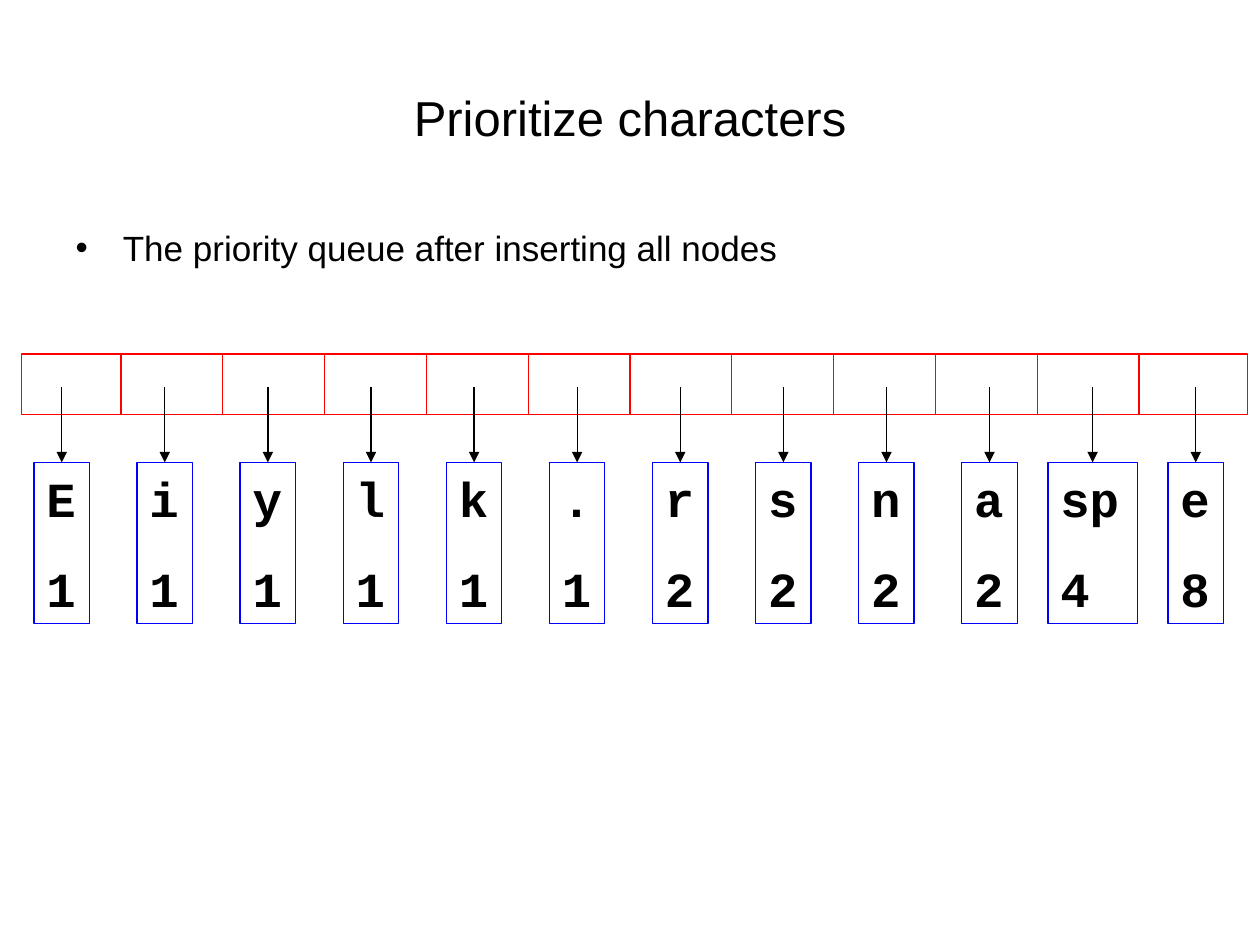
import pptx
import pptx.dml.color
import pptx.enum.shapes
import pptx.enum.text
import pptx.oxml
import pptx.oxml.ns
import pptx.util
from dataclasses import dataclass
from pptx.util import Inches


@dataclass(frozen=True)
class Theme:
    text: str = "000000"
    queue_fill: str = "FFFFFF"
    queue_line: str = "FF0000"
    node_line: str = "0000FF"
    title_size: int = 28
    body_size: int = 20
    node_size: int = 28
    line_width: float = 0.75
    sans: str = "Arial"
    mono: str = "Courier New"


theme = Theme()


def write(para, text, *, font, size, bold=False, align=None, before=None):
    span = para.add_run()
    span.text = text
    span.font.name = font
    span.font.size = pptx.util.Pt(size)
    span.font.bold = bold
    span.font.color.rgb = pptx.dml.color.RGBColor.from_string(theme.text)
    if align is not None:
        para.alignment = align
    if before is not None:
        para.space_before = pptx.util.Pt(before)


def style_line(item, color):
    """Set the outline colour and width, and remove any shadow."""
    item.line.color.rgb = pptx.dml.color.RGBColor.from_string(color)
    item.line.width = pptx.util.Pt(theme.line_width)
    if isinstance(item, pptx.shapes.connector.Connector):
        pptx.oxml.ns.qn("a:effectLst")
        properties = item._element.spPr
        properties.append(pptx.oxml.xmlchemy.OxmlElement("a:effectLst"))
    else:
        item.shadow.inherit = False


deck = pptx.Presentation()
deck.slide_width = Inches(10)
deck.slide_height = Inches(7.5)
page = deck.slides.add_slide(deck.slide_layouts[1])
shapes = page.shapes
rectangle = pptx.enum.shapes.MSO_SHAPE.RECTANGLE
straight = pptx.enum.shapes.MSO_CONNECTOR.STRAIGHT
center = pptx.enum.text.PP_ALIGN.CENTER
left = pptx.enum.text.PP_ALIGN.LEFT

# Title and bullet
title, body = shapes.title, page.placeholders[1]
title.left, title.top = Inches(0.5), Inches(0.3)
title.width, title.height = Inches(9), Inches(1.25)
write(title.text_frame.paragraphs[0], "Prioritize characters",
      font=theme.sans, size=theme.title_size, align=center)
body.left, body.top = Inches(0.5), Inches(1.75)
body.width, body.height = Inches(9), Inches(4.95)
write(body.text_frame.paragraphs[0], "The priority queue after inserting all nodes",
      font=theme.sans, size=theme.body_size, before=5)

nodes = [("E", 1), ("i", 1), ("y", 1), ("l", 1), ("k", 1), (".", 1),
         ("r", 2), ("s", 2), ("n", 2), ("a", 2), ("sp", 4), ("e", 8)]

# Queue array and its cell dividers
queue_top, queue_height = 2.81, 0.48
queue = shapes.add_shape(rectangle, Inches(0.17), Inches(queue_top),
                         Inches(9.73), Inches(queue_height))
queue.fill.solid()
queue.fill.fore_color.rgb = pptx.dml.color.RGBColor.from_string(theme.queue_fill)
style_line(queue, theme.queue_line)

first_divider, last_divider = 0.96, 9.04
divider_step = (last_divider - first_divider) / (len(nodes) - 2)
for index in range(len(nodes) - 1):
    x = Inches(first_divider + index * divider_step)
    divider = shapes.add_connector(straight, x, Inches(queue_top),
                                   x, Inches(queue_top + queue_height))
    style_line(divider, theme.queue_line)

# Nodes, each with an arrow from its queue cell
first_center, last_center = 0.49, 9.49
node_step = (last_center - first_center) / (len(nodes) - 1)
node_top, node_height, arrow_top = 3.67, 1.28, 3.07
for index, (character, frequency) in enumerate(nodes):
    x = first_center + index * node_step
    width = 0.44 if len(character) == 1 else 0.71
    box = shapes.add_shape(rectangle, Inches(x - width / 2), Inches(node_top),
                           Inches(width), Inches(node_height))
    box.fill.background()
    style_line(box, theme.node_line)
    frame = box.text_frame
    frame.word_wrap = True
    frame.vertical_anchor = pptx.enum.text.MSO_ANCHOR.TOP
    for para, text in zip((frame.paragraphs[0], frame.add_paragraph()),
                          (character, str(frequency))):
        write(para, text, font=theme.mono, size=theme.node_size,
              bold=True, align=left, before=17.5)

    arrow = shapes.add_connector(straight, Inches(x), Inches(arrow_top),
                                 Inches(x), Inches(node_top))
    arrow.end_connect(box, 0)
    arrow.begin_x = arrow.end_x
    style_line(arrow, theme.text)
    head = pptx.oxml.xmlchemy.OxmlElement("a:tailEnd")
    head.set("type", "triangle")
    arrow.line._get_or_add_ln().append(head)

deck.save("out.pptx")
